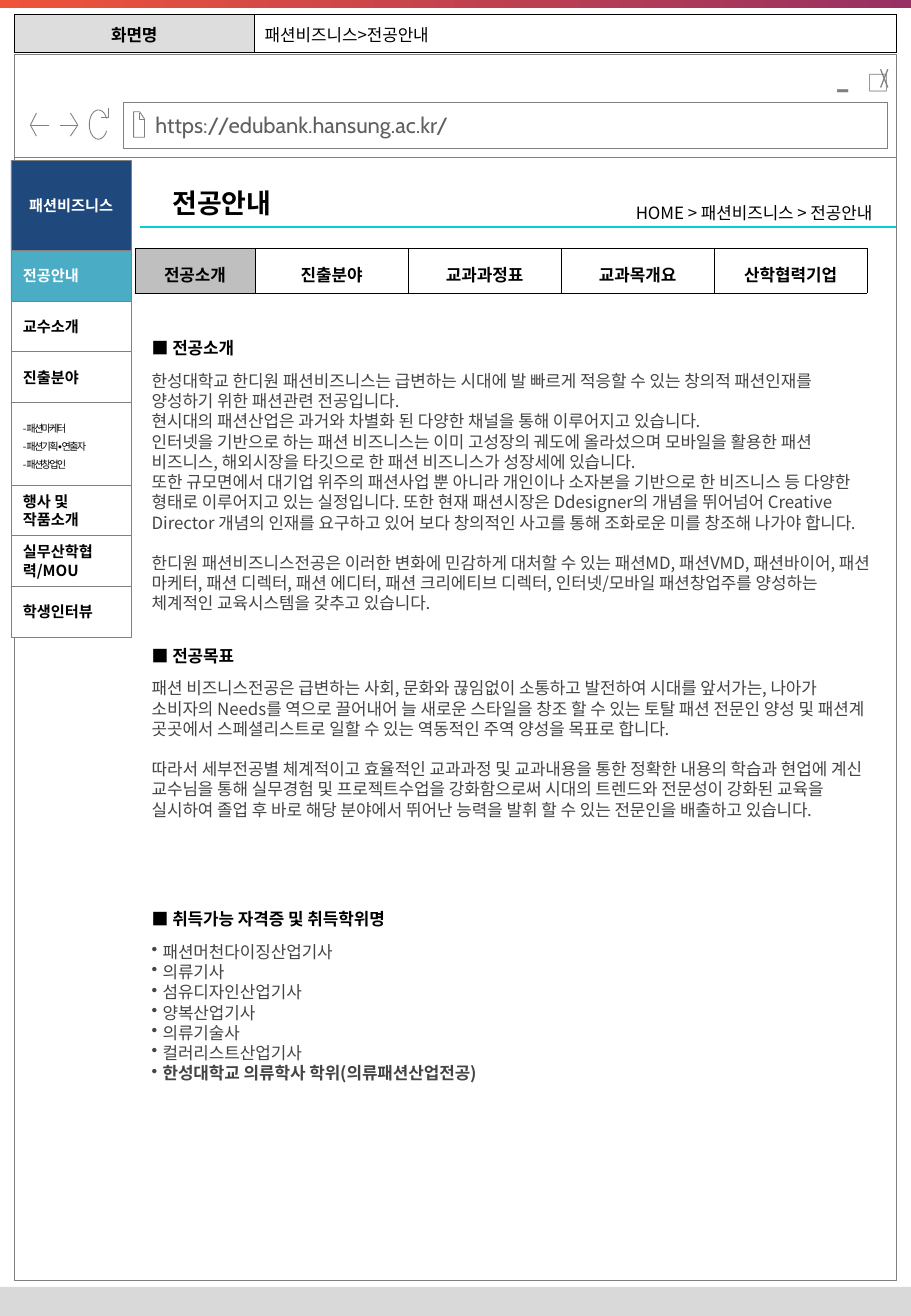
from dataclasses import dataclass, replace
from math import cos, radians, sin

from lxml import etree
from pptx import Presentation
from pptx.dml.color import RGBColor
from pptx.enum.shapes import MSO_CONNECTOR, MSO_SHAPE
from pptx.enum.text import MSO_ANCHOR, MSO_AUTO_SIZE, PP_ALIGN
from pptx.oxml.ns import qn
from pptx.util import Inches, Pt

LEFT, CENTER, RIGHT = PP_ALIGN.LEFT, PP_ALIGN.CENTER, PP_ALIGN.RIGHT
TOP, MIDDLE = MSO_ANCHOR.TOP, MSO_ANCHOR.MIDDLE
KOREAN, LATIN, ADDRESS = "Noto Sans CJK KR", "Arial", "Cabin"

BLACK, WHITE = RGBColor(0, 0, 0), RGBColor(255, 255, 255)
GRAY, TEXT_GRAY, URL_GRAY = RGBColor(0x80, 0x80, 0x80), RGBColor(0x44, 0x44, 0x44), RGBColor(0x5F, 0x5F, 0x5F)
LABEL_GRAY, TAB_GRAY, FOOT_GRAY = RGBColor(0xDD, 0xDD, 0xDD), RGBColor(0xBF, 0xBF, 0xBF), RGBColor(0xD9, 0xD9, 0xD9)
NAVY, TEAL, CYAN = RGBColor(0x1F, 0x49, 0x7D), RGBColor(0x4B, 0xAC, 0xC6), RGBColor(0x06, 0xCF, 0xD4)
ORANGE, PLUM = RGBColor(0xEE, 0x54, 0x3A), RGBColor(0x97, 0x31, 0x63)

COLUMNS, ROWS = 75, 108.3
deck = Presentation()
deck.slide_width, deck.slide_height = Inches(7.5), Inches(10.83)
COLUMN, ROW = deck.slide_width / COLUMNS, deck.slide_height / ROWS
page = deck.slides.add_slide(deck.slide_layouts[5])


@dataclass(frozen=True)
class Area:
    """A rectangle in grid columns and rows."""
    left: float
    top: float
    width: float
    height: float

    def emu(self) -> tuple[int, int, int, int]:
        return (round(self.left * COLUMN), round(self.top * ROW),
                round(self.width * COLUMN), round(self.height * ROW))


@dataclass(frozen=True)
class Look:
    size: float = 10
    color: RGBColor = BLACK
    bold: bool = False
    align: PP_ALIGN = LEFT
    font: str = KOREAN
    leading: float = 1
    tracking: int = 0


@dataclass(frozen=True)
class MenuItem:
    text: str
    look: Look
    fill: RGBColor = WHITE
    height: float = 4.17


@dataclass(frozen=True)
class Section:
    heading: str
    top: float
    height: float
    blocks: tuple[str, ...]
    bulleted: bool = False


BODY = Look(color=TEXT_GRAY)
LABEL = Look(bold=True, align=CENTER)
MENU = Look(9, bold=True)

MENU_ITEMS = (
    MenuItem("패션비즈니스", replace(MENU, color=WHITE, align=CENTER), NAVY, 7.4),
    MenuItem("전공안내", replace(MENU, color=WHITE), TEAL),
    MenuItem("교수소개", MENU),
    MenuItem("진출분야", MENU),
    MenuItem("-패션마케터\n-패션기획∙연출자\n-패션창업인", Look(6, leading=1.5, tracking=-100), height=6.8),
    MenuItem("행사 및 작품소개", MENU),
    MenuItem("실무산학협력/MOU", MENU),
    MenuItem("학생인터뷰", MENU),
)
SECTIONS = (
    Section("■ 전공소개", 27.3, 21.2, (
        "한성대학교 한디원 패션비즈니스는 급변하는 시대에 발 빠르게 적응할 수 있는 창의적 패션인재를 양성하기 위한 패션관련 전공입니다.\n"
        "현시대의 패션산업은 과거와 차별화 된 다양한 채널을 통해 이루어지고 있습니다.\n"
        "인터넷을 기반으로 하는 패션 비즈니스는 이미 고성장의 궤도에 올라섰으며 모바일을 활용한 패션 비즈니스, 해외시장을 타깃으로 한 패션 비즈니스가 성장세에 있습니다.\n"
        "또한 규모면에서 대기업 위주의 패션사업 뿐 아니라 개인이나 소자본을 기반으로 한 비즈니스 등 다양한 형태로 이루어지고 있는 실정입니다. 또한 현재 패션시장은 Ddesigner의 개념을 뛰어넘어 Creative Director 개념의 인재를 요구하고 있어 보다 창의적인 사고를 통해 조화로운 미를 창조해 나가야 합니다.",
        "한디원 패션비즈니스전공은 이러한 변화에 민감하게 대처할 수 있는 패션MD, 패션VMD, 패션바이어, 패션 마케터, 패션 디렉터, 패션 에디터, 패션 크리에티브 디렉터, 인터넷/모바일 패션창업주를 양성하는 체계적인 교육시스템을 갖추고 있습니다.")),
    Section("■ 전공목표", 52.6, 16.2, (
        "패션 비즈니스전공은 급변하는 사회, 문화와 끊임없이 소통하고 발전하여 시대를 앞서가는, 나아가 소비자의 Needs를 역으로 끌어내어 늘 새로운 스타일을 창조 할 수 있는 토탈 패션 전문인 양성 및 패션계 곳곳에서 스페셜리스트로 일할 수 있는 역동적인 주역 양성을 목표로 합니다.",
        "따라서 세부전공별 체계적이고 효율적인 교과과정 및 교과내용을 통한 정확한 내용의 학습과 현업에 계신 교수님을 통해 실무경험 및 프로젝트수업을 강화함으로써 시대의 트렌드와 전문성이 강화된 교육을 실시하여 졸업 후 바로 해당 분야에서 뛰어난 능력을 발휘 할 수 있는 전문인을 배출하고 있습니다.")),
    Section("■ 취득가능 자격증 및 취득학위명", 74.3, 12.8, (
        "패션머천다이징산업기사\n의류기사\n섬유디자인산업기사\n양복산업기사\n의류기술사\n컬러리스트산업기사\n"
        "한성대학교 의류학사 학위(의류패션산업전공)",), True),
)


def write(frame, text: str, look: Look, anchor: MSO_ANCHOR = MIDDLE) -> None:
    frame.text = text
    frame.word_wrap = True
    frame.vertical_anchor = anchor
    for para in frame.paragraphs:
        para.alignment = look.align
        para.line_spacing = Pt(look.size * 1.2 * look.leading)
        for span in para.runs:
            span.font.size, span.font.bold = Pt(look.size), look.bold
            span.font.color.rgb = look.color
            span.font.name = look.font
            properties = span.font._element
            etree.SubElement(properties, qn("a:ea"), typeface=KOREAN)
            if look.tracking:
                properties.set("spc", str(look.tracking))


def add_text(area: Area, text: str, look: Look, anchor: MSO_ANCHOR = MIDDLE):
    frame = page.shapes.add_textbox(*area.emu()).text_frame
    write(frame, text, look, anchor)
    return frame


def add_panel(area: Area, fill: RGBColor, line_width: float = 0):
    panel = page.shapes.add_shape(MSO_SHAPE.RECTANGLE, *area.emu())
    panel.shadow.inherit = False
    panel.fill.solid()
    panel.fill.fore_color.rgb = fill
    if line_width:
        panel.line.color.rgb, panel.line.width = GRAY, Pt(line_width)
    else:
        panel.line.fill.background()
    return panel


def add_icon(*strokes: list[tuple[float, float]], width: float = 0.5) -> None:
    """Draw one outline from strokes of (column, row) points."""
    points = [[(round(x * COLUMN), round(y * ROW)) for x, y in stroke] for stroke in strokes]
    builder = page.shapes.build_freeform(*points[0][0], scale=1.0)
    for index, stroke in enumerate(points):
        if index:
            builder.move_to(*stroke[0])
        builder.add_line_segments(stroke[1:], close=False)
    icon = builder.convert_to_shape()
    icon.shadow.inherit = False
    icon.fill.background()
    icon.line.color.rgb, icon.line.width = GRAY, Pt(width)


def add_row_table(area: Area, widths: list[float], cells: list[tuple[str, Look, RGBColor]],
                  margins: tuple[float, float, float], border: float) -> None:
    """Add a one-row table; margins are side, top and bottom in inches."""
    table = page.shapes.add_table(1, len(cells), *area.emu()).table
    table.first_row = table.horz_banding = False
    for index, (text, look, fill) in enumerate(cells):
        table.columns[index].width = round(widths[index] * COLUMN)
        cell = table.cell(0, index)
        write(cell.text_frame, text, look)
        cell.vertical_anchor = MIDDLE
        cell.margin_left = cell.margin_right = Inches(margins[0])
        cell.margin_top, cell.margin_bottom = Inches(margins[1]), Inches(margins[2])
        properties = cell._tc.get_or_add_tcPr()
        for side in ("a:lnL", "a:lnR", "a:lnT", "a:lnB"):
            line = etree.SubElement(properties, qn(side), w=str(Pt(border)))
            solid = etree.SubElement(line, qn("a:solidFill"))
            etree.SubElement(solid, qn("a:srgbClr"), val=str(BLACK))
        cell.fill.solid()
        cell.fill.fore_color.rgb = fill


def add_section(section: Section) -> None:
    add_text(Area(11.5, section.top, 28.9, 2.7), section.heading, Look(bold=True, font=LATIN))
    frame = add_text(Area(11.5, section.top + 2.7, 61.3, section.height),
                     "\n".join(section.blocks), BODY, TOP)
    first_lines = {block.split("\n")[0] for block in section.blocks[1:]}
    for para in frame.paragraphs:
        if para.text in first_lines:
            para.space_before = Pt(12)
        if section.bulleted:
            properties = para._p.get_or_add_pPr()
            properties.set("marL", str(Inches(0.09)))
            properties.set("indent", str(-Inches(0.09)))
            etree.SubElement(properties, qn("a:buChar"), char="•")
    if section.bulleted:
        frame.paragraphs[-1].runs[0].font.bold = True


def add_browser() -> None:
    add_panel(Area(1.2, 13, 72.6, 92.4), WHITE, 0.5)
    add_panel(Area(1.2, 4.5, 72.6, 8.5), WHITE, 0.5)
    address = add_panel(Area(10.2, 8.4, 62.9, 3.8), WHITE, 0.5).text_frame
    write(address, "https://edubank.hansung.ac.kr/", Look(13, URL_GRAY, font=ADDRESS))
    address.margin_left = Inches(0.26)
    add_icon([(11.5, 9.3), (11.5, 9.8), (11.9, 9.8)],
             [(11, 9.2), (11, 11.3), (11.9, 11.3), (11.9, 9.8), (11.5, 9.2), (11, 9.2)])
    add_icon([(3, 11.2), (2.5, 10.3), (3, 9.3)], [(2.5, 10.3), (4, 10.3)])
    add_icon([(5.8, 9.3), (6.4, 10.3), (5.8, 11.2)], [(6.4, 10.3), (4.9, 10.3)])
    arc = [(8.1 + 0.75 * cos(radians(a)), 10.25 + 1.2 * sin(radians(a))) for a in range(25, 336, 10)]
    add_icon([(8.9, 8.9), (8.9, 9.7), (8.3, 9.7)], arc)
    add_icon([(73.1, 5.7), (72.5, 7.2)], [(72.5, 5.7), (73.1, 7.2)], width=0.75)
    add_text(Area(70.5, 4.1, 1.9, 4.3), "□", Look(13, GRAY, align=CENTER, leading=1.5)).word_wrap = False
    add_text(Area(67.5, 2.2, 3.9, 7.6), "-", Look(26, GRAY, align=CENTER, leading=1.5))


def add_heading() -> None:
    title = page.shapes.title
    page.shapes._spTree.append(title._element)
    title.left, title.top, title.width, title.height = Area(13.2, 14.6, 23.8, 4.2).emu()
    write(title.text_frame, "전공안내", Look(16, bold=True))
    title.text_frame.auto_size = MSO_AUTO_SIZE.NONE
    left, top, width, _ = Area(11.5, 18.7, 62.3, 0).emu()
    rule = page.shapes.add_connector(MSO_CONNECTOR.STRAIGHT, left, top, left + width, top)
    rule.line.color.rgb, rule.line.width = CYAN, Pt(1)
    etree.SubElement(rule._element.spPr, qn("a:effectLst"))
    add_text(Area(28.8, 16.2, 44, 2.7), "HOME > 패션비즈니스 > 전공안내", Look(align=RIGHT), TOP)


def main() -> None:
    band = add_panel(Area(0, 0, COLUMNS, 0.7), ORANGE)
    band.fill.gradient()
    band.fill.gradient_angle = 0
    for stop, color in zip(band.fill.gradient_stops, (ORANGE, PLUM)):
        stop.color.rgb = color
    add_panel(Area(0, 105.9, COLUMNS, 2.4), FOOT_GRAY)
    add_browser()
    add_row_table(Area(1.2, 1.2, 72.6, 3.1), [19.7, 52.9],
                  [("화면명", LABEL, LABEL_GRAY), ("패션비즈니스>전공안내", Look(), WHITE)], (0.09, 0.09, 0.05), 0.25)
    add_heading()
    tab = replace(LABEL, leading=1.6)
    names = ("전공소개", "진출분야", "교과과정표", "교과목개요", "산학협력기업")
    add_row_table(Area(11.1, 20.4, 60.3, 3.7), [9.9] + [12.6] * 4,
                  [(name, tab, WHITE if index else TAB_GRAY) for index, name in enumerate(names)],
                  (0.07, 0.02, 0.02), 0.28)
    top = 13.2
    for item in MENU_ITEMS:
        panel = add_panel(Area(0.9, top, 9.9, item.height), item.fill, 0.25)
        write(panel.text_frame, item.text, item.look)
        top += item.height
    for section in SECTIONS:
        add_section(section)
    deck.save("out.pptx")


if __name__ == "__main__":
    main()
